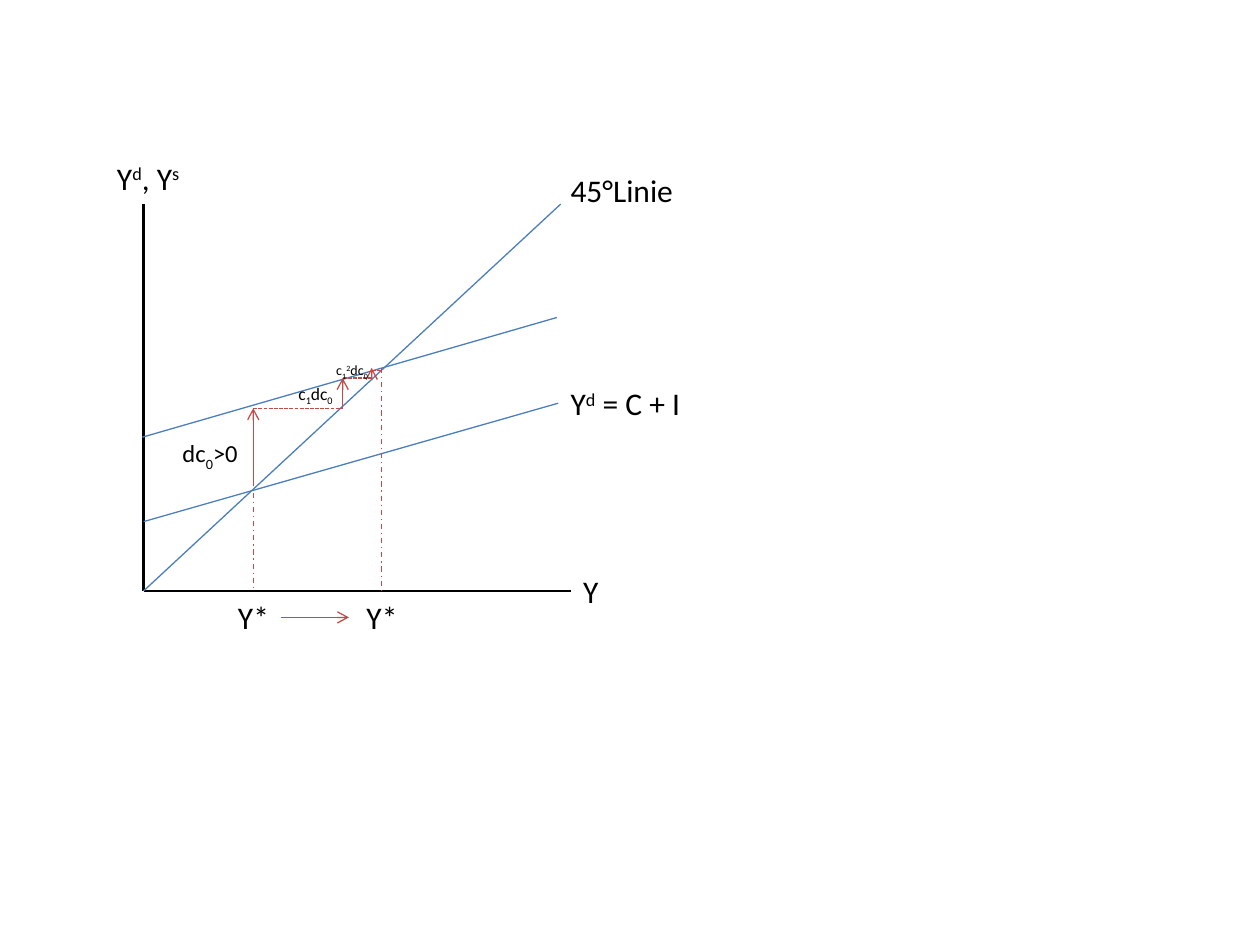
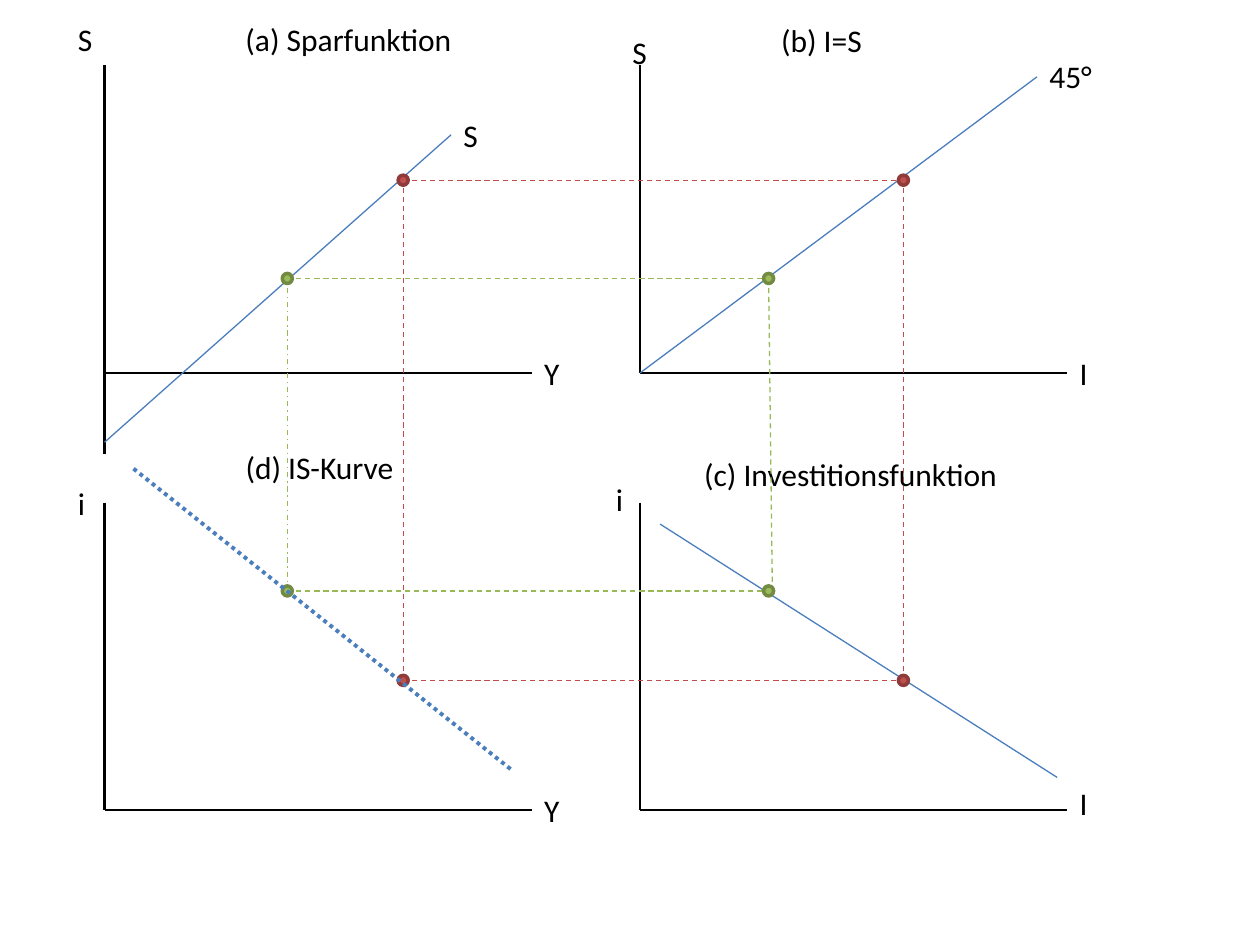
from pptx import Presentation
from pptx.dml.color import RGBColor
from pptx.enum.dml import MSO_LINE_DASH_STYLE as Dash
from pptx.enum.shapes import MSO_CONNECTOR as Connector, MSO_SHAPE as Shape
from pptx.enum.text import MSO_AUTO_SIZE as AutoSize
from pptx.oxml.ns import qn
from pptx.util import Inches, Pt
from lxml import etree

# Shared look
BLACK = RGBColor(0x00, 0x00, 0x00)
BLUE = RGBColor(0x4B, 0x7E, 0xBC)
RED = RGBColor(0xBF, 0x4C, 0x48)
GREEN = RGBColor(0x98, 0xB9, 0x55)
RED_FILL = RGBColor(0xC0, 0x50, 0x4D)
RED_EDGE = RGBColor(0x8E, 0x3B, 0x39)
GREEN_FILL = RGBColor(0x9B, 0xBB, 0x59)
GREEN_EDGE = RGBColor(0x73, 0x8A, 0x42)

FONT = "Calibri"
SUPER, SUB = 30000, -25000
DOT_SIZE = 0.08
AXIS_LENGTH = 3.39
BLANK_LAYOUT = 6


def set_all(target, values):
    for name, value in values.items():
        setattr(target, name, value)


def inches(*values):
    return [Inches(value) for value in values]


def add_line(page, start, end, color=BLUE, width=0.75, dash=None, arrow=False):
    line = page.shapes.add_connector(Connector.STRAIGHT, *inches(*start, *end))
    line.line.color.rgb = color
    set_all(line.line, {"width": Pt(width), "dash_style": dash})
    if arrow:
        outline = line.line._get_or_add_ln()
        etree.SubElement(outline, qn("a:tailEnd"), type="arrow")
    etree.SubElement(line._element.spPr, qn("a:effectLst"))


def add_label(page, left, top, width, *parts, size=18):
    """Each part is plain text, or a (text, baseline) pair."""
    height = 0.1 + size / 60  # one line of text and its margins
    box = page.shapes.add_textbox(*inches(left, top, width, height))
    set_all(box.text_frame, {"word_wrap": False,
                             "auto_size": AutoSize.SHAPE_TO_FIT_TEXT})
    para = box.text_frame.paragraphs[0]
    for part in parts:
        text, baseline = (part, 0) if isinstance(part, str) else part
        span = para.add_run()
        span.text = text
        set_all(span.font, {"name": FONT, "size": Pt(size)})
        span.font.color.rgb = BLACK
        if baseline:
            span._r.get_or_add_rPr().set("baseline", str(baseline))


def add_dot(page, x, y, fill, edge):
    radius = DOT_SIZE / 2
    dot = page.shapes.add_shape(
        Shape.OVAL, *inches(x - radius, y - radius, DOT_SIZE, DOT_SIZE))
    dot.shadow.inherit = False
    dot.fill.solid()
    dot.fill.fore_color.rgb = fill
    dot.line.color.rgb = edge
    dot.line.width = Pt(2)


def add_axes(page, x, base, height, below=0):
    """Axes that cross at (x, base); below extends the upright one downwards."""
    add_line(page, (x, base - height), (x, base + below), BLACK, 1.5)
    add_line(page, (x, base), (x + AXIS_LENGTH, base), BLACK, 1.5)


def add_guides(page, income, investment, saving, rate, color, fill, edge,
               income_dash=Dash.DASH, lean=0):
    """Dashed rectangle through the four panels, with a dot at each corner.

    lean moves the lower end of the investment guide to the right.
    """
    for y in (saving, rate):
        add_line(page, (income, y), (investment, y), color, dash=Dash.DASH)
    add_line(page, (income, rate), (income, saving), color, dash=income_dash)
    add_line(page, (investment + lean, rate), (investment, saving), color,
             dash=Dash.DASH)
    for x in (income, investment):
        for y in (saving, rate):
            add_dot(page, x, y, fill, edge)


def build_multiplier(page):
    origin_x, base = 1.14, 4.69
    old_income, second_income, third_income, new_income = 2.01, 2.72, 2.95, 3.03

    # Axes, then demand before the shift, 45° line, demand after the shift
    add_axes(page, origin_x, base, height=3.07)
    add_line(page, (origin_x, 4.14), (4.43, 3.2))
    add_line(page, (origin_x, base), (4.45, 1.62))
    add_line(page, (1.13, 3.47), (4.42, 2.52))

    # Old and new equilibrium
    for income, top in ((old_income, 3.91), (new_income, 2.92)):
        add_line(page, (income, top), (income, base), RED, dash=Dash.DASH_DOT)
        add_label(page, income - 0.22, 4.7, 0.45, "Y*")
    add_line(page, (2.23, 4.9), (2.77, 4.9), RED, arrow=True)

    # Demand rises in each round: income, bottom and top of the arrow
    rises = ((old_income, 3.86, 3.24),
             (second_income, 3.24, 3),
             (third_income, 3, 2.92))
    for income, bottom, top in rises:
        add_line(page, (income, bottom), (income, top), RED, arrow=True)

    # Income follows: from, to and height of the dashes
    follows = ((old_income, second_income, 3.24),
               (second_income, third_income, 3),
               (third_income, new_income, 2.94))
    for start, end, y in follows:
        add_line(page, (start, y), (end, y), RED, dash=Dash.SQUARE_DOT)

    # Axis and curve labels
    add_label(page, 0.83, 1.21, 0.8, "Y", ("d", SUPER), ", Y", ("s", SUPER))
    add_label(page, 4.53, 4.49, 0.32, "Y")
    add_label(page, 4.43, 1.31, 1.03, "45°Linie")
    add_label(page, 4.43, 3, 1.08, "Y", ("d", SUPER), " = C + I")

    # Size of each round
    add_label(page, 1.35, 3.43, 0.66, "dc", ("0", SUB), ">0", size=14)
    add_label(page, 2.27, 2.99, 0.49, "c", ("1", SUB), "dc", ("0", SUB), size=10)
    add_label(page, 2.57, 2.82, 0.47, "c", ("1", SUB), ("2", SUPER),
              "dc", ("0", SUB), size=8)


def build_is_curve(page):
    left, right = 0.83, 5.08
    upper, lower = 2.96, 6.43
    axis_end = AXIS_LENGTH

    # Axes: only the saving panel reaches below zero
    panels = ((left, upper, 0.64), (right, upper, 0),
              (left, lower, 0), (right, lower, 0))
    for x, base, below in panels:
        add_axes(page, x, base, height=2.44, below=below)

    # Labels: left, top, width, text
    panel_titles = ((1.85, 0.11, 1.86, "(a) Sparfunktion"),
                    (6.1, 0.12, 0.85, "(b) I=S"),
                    (5.49, 3.56, 2.56, "(c) Investitionsfunktion"),
                    (1.85, 3.51, 1.39, "(d) IS-Kurve"))
    upright_names = ((0.52, 0.11, 0.32, "S"), (4.92, 0.21, 0.32, "S"),
                     (0.52, 3.79, 0.26, "i"), (4.79, 3.76, 0.26, "i"))
    level_names = ((left + axis_end, upper - 0.2, 0.32, "Y"),
                   (right + axis_end, upper - 0.2, 0.27, "I"),
                   (left + axis_end, lower - 0.2, 0.32, "Y"),
                   (right + axis_end, lower - 0.26, 0.27, "I"))
    curve_names = ((3.58, 0.87, 0.32, "S"), (8.23, 0.4, 0.54, "45°"))
    for label in panel_titles + upright_names + level_names + curve_names:
        add_label(page, *label)

    # Saving, 45° and investment curves
    add_line(page, (left, 3.51), (3.58, 1.07))
    add_line(page, (right, upper), (8.23, 0.61))
    add_line(page, (5.24, 4.16), (8.39, 6.17))

    # Two equilibria, then the IS curve through them
    add_guides(page, income=3.2, investment=7.17, saving=1.43, rate=5.4,
               color=RED, fill=RED_FILL, edge=RED_EDGE)
    add_guides(page, income=2.28, investment=6.1, saving=2.21, rate=4.69,
               color=GREEN, fill=GREEN_FILL, edge=GREEN_EDGE,
               income_dash=Dash.DASH_DOT, lean=0.03)
    add_line(page, (1.06, 3.72), (4.06, 6.11), width=2.25, dash=Dash.ROUND_DOT)


def main():
    deck = Presentation()
    set_all(deck, {"slide_width": Inches(10), "slide_height": Inches(7.5)})
    for build in (build_multiplier, build_is_curve):
        build(deck.slides.add_slide(deck.slide_layouts[BLANK_LAYOUT]))
    deck.save("out.pptx")


if __name__ == "__main__":
    main()
